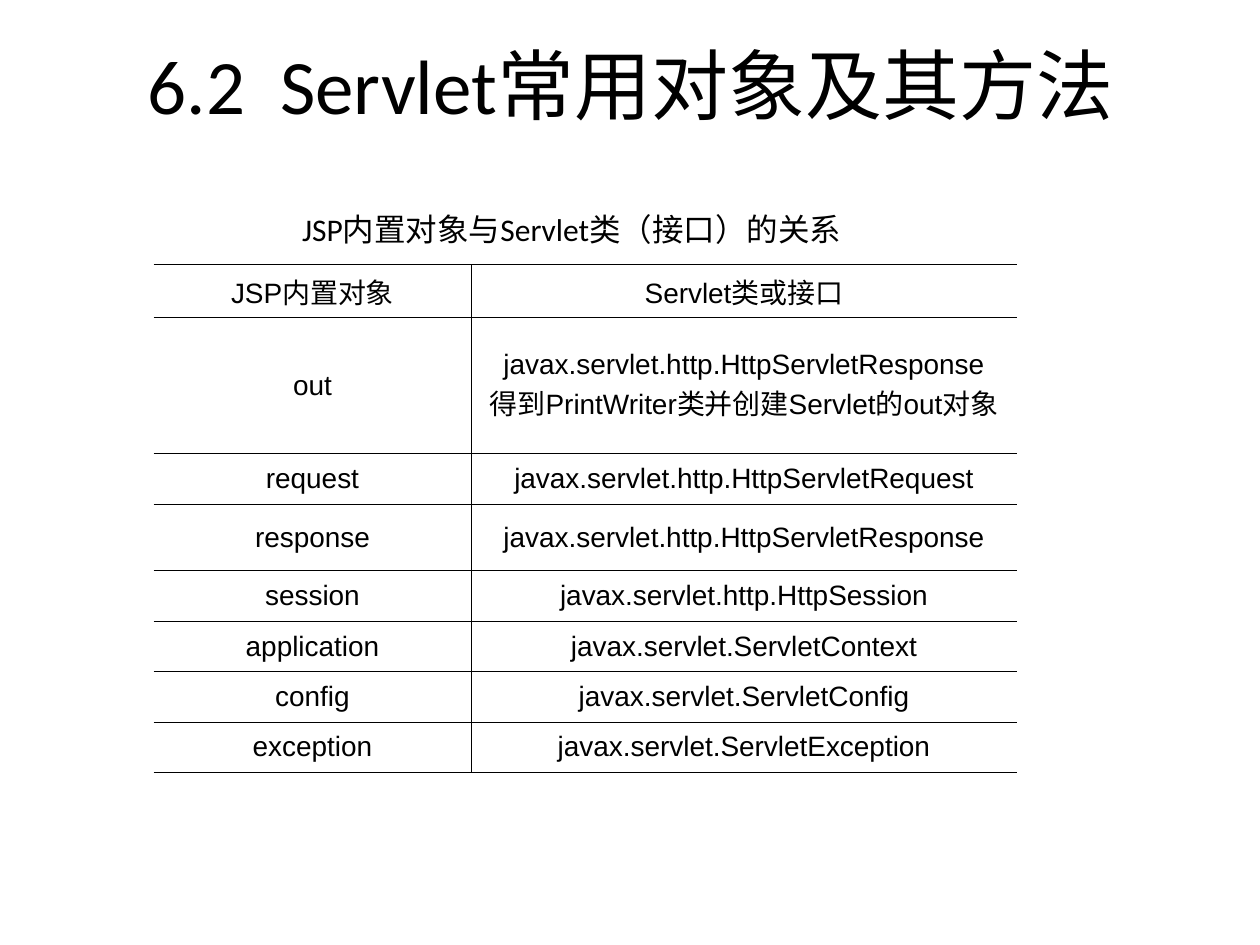
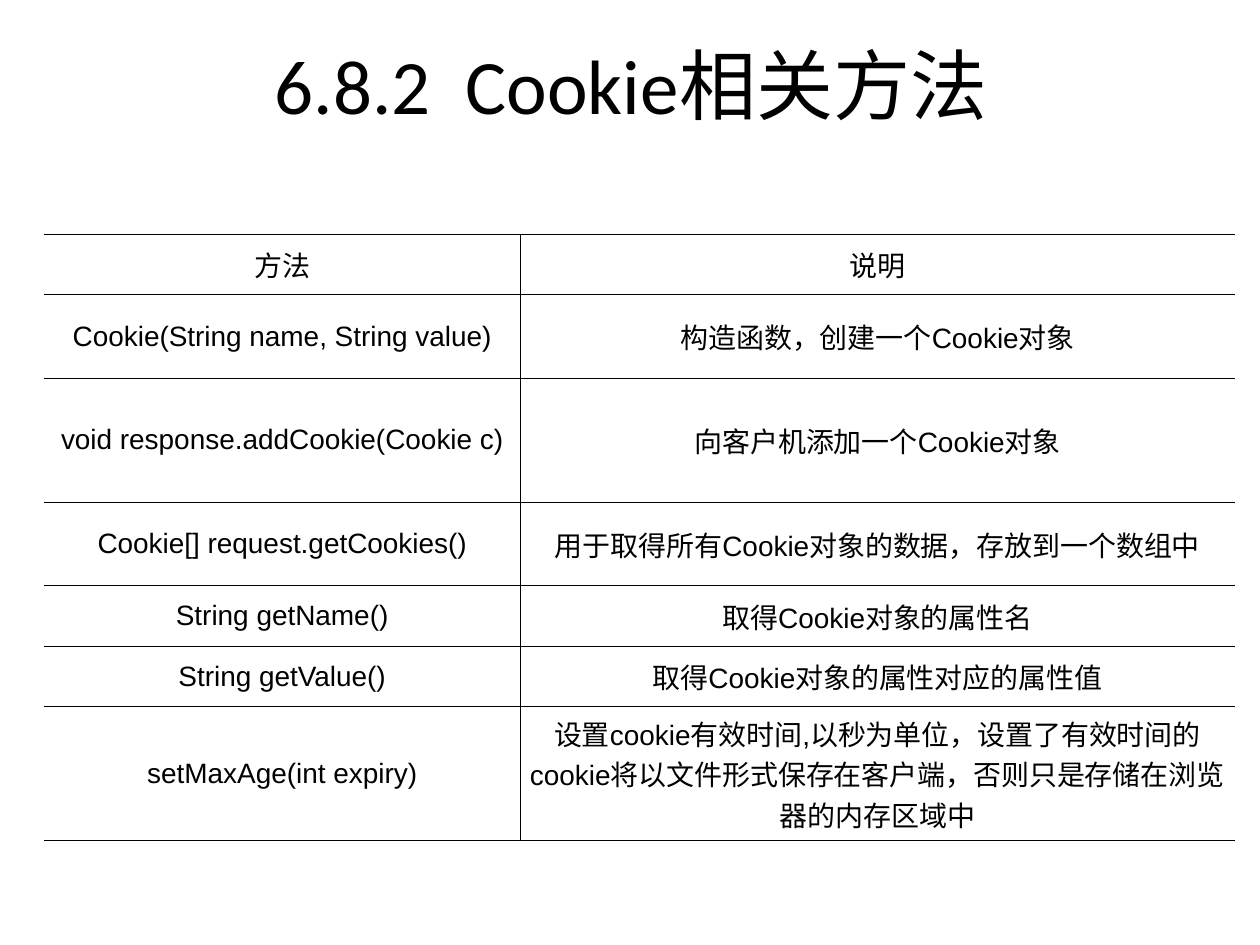
from lxml import etree
from pptx import Presentation
from pptx import util as u
from pptx.dml.color import RGBColor
from pptx.enum import text
from pptx.oxml.ns import qn

COLORS = {"ink": "000000", "paper": "FFFFFF"}
FONTS = {
    "title": {"name": "Calibri", "size": u.Pt(44), "bold": False},
    "caption": {"name": "Calibri", "size": u.Pt(18)},
    "cell": {"name": "Arial", "size": u.Pt(16), "bold": False},
}
PARAGRAPHS = {
    "title": {"alignment": text.PP_ALIGN.CENTER},
    "caption": {"alignment": text.PP_ALIGN.LEFT},
    "cell": {"alignment": text.PP_ALIGN.CENTER, "space_after": u.Pt(1)},
}
GRID_COLUMNS, GRID_ROWS = 100, 75
RULE_WIDTH = u.Pt(0.45)

OBJECT_ROWS = [
    (4, "JSP内置对象", "Servlet类或接口"),
    (10.8, "out", "javax.servlet.http.HttpServletResponse\n得到PrintWriter类并创建Servlet的out对象"),
    (4, "request", "javax.servlet.http.HttpServletRequest"),
    (5.3, "response", "javax.servlet.http.HttpServletResponse"),
    (4, "session", "javax.servlet.http.HttpSession"),
    (4, "application", "javax.servlet.ServletContext"),
    (4, "config", "javax.servlet.ServletConfig"),
    (4, "exception", "javax.servlet.ServletException"),
]
COOKIE_ROWS = [
    (4.8, "方法", "说明"),
    (6.6, "Cookie(String name, String value)", "构造函数，创建一个Cookie对象"),
    (9.9, "void response.addCookie(Cookie c)", "向客户机添加一个Cookie对象"),
    (6.6, "Cookie[] request.getCookies()", "用于取得所有Cookie对象的数据，存放到一个数组中"),
    (4.8, "String getName()", "取得Cookie对象的属性名"),
    (4.8, "String getValue()", "取得Cookie对象的属性对应的属性值"),
    (9.9, "setMaxAge(int expiry)",
     "设置cookie有效时间,以秒为单位，设置了有效时间的cookie将以文件形式保存在客户端，否则只是存储在浏览器的内存区域中"),
]


def assign(target, values):
    """Set each named attribute of the target."""
    for name, value in values.items():
        setattr(target, name, value)


class Deck:
    """Hold the presentation style and the current slide."""

    def __init__(self):
        """Start an empty presentation of 10 by 7.5 inches."""
        self.presentation = Presentation()
        assign(self.presentation, {"slide_width": u.Inches(10), "slide_height": u.Inches(7.5)})
        self.slide = None

    def across(self, columns):
        """Turn grid columns into a length."""
        return u.Emu(round(self.presentation.slide_width * columns / GRID_COLUMNS))

    def down(self, rows):
        """Turn grid rows into a length."""
        return u.Emu(round(self.presentation.slide_height * rows / GRID_ROWS))

    def box(self, left, top, width, height):
        """Turn a grid box into named lengths."""
        return {"left": self.across(left), "top": self.down(top),
                "width": self.across(width), "height": self.down(height)}

    def fill_text(self, text_frame, words, style):
        """Fill a text frame and format its paragraphs."""
        text_frame.text = words
        for paragraph in text_frame.paragraphs:
            assign(paragraph, PARAGRAPHS[style])
            for run in paragraph.runs:
                assign(run.font, FONTS[style])
                run.font.color.rgb = RGBColor.from_string(COLORS["ink"])

    def add_slide(self, title):
        """Add a slide with a centred title."""
        self.slide = self.presentation.slides.add_slide(self.presentation.slide_layouts[5])
        background = self.slide.background.fill
        background.solid()
        background.fore_color.rgb = RGBColor.from_string(COLORS["paper"])
        shape = self.slide.shapes.title
        assign(shape, self.box(5.1, 0.4, 90, 12.5))
        shape.text_frame.vertical_anchor = text.MSO_ANCHOR.MIDDLE
        self.fill_text(shape.text_frame, title, "title")

    def add_caption(self, words, left, top, width, height):
        """Add a line of text above a table."""
        shape = self.slide.shapes.add_textbox(**self.box(left, top, width, height))
        shape.text_frame.word_wrap = True
        self.fill_text(shape.text_frame, words, "caption")

    def rule_cell(self, cell, sides):
        """Draw a thin rule on the given sides and clear the others."""
        properties = cell._tc.get_or_add_tcPr()
        for side in "LRTB":
            line = etree.SubElement(properties, qn(f"a:ln{side}"), w=str(int(RULE_WIDTH)))
            if side in sides:
                fill = etree.SubElement(line, qn("a:solidFill"))
                etree.SubElement(fill, qn("a:srgbClr"), val=COLORS["ink"])
            else:
                etree.SubElement(line, qn("a:noFill"))

    def add_table(self, left, top, column_widths, rows):
        """Add a ruled table that is open at its left and right edges."""
        height = sum(row[0] for row in rows)
        table = self.slide.shapes.add_table(
            len(rows), len(column_widths), **self.box(left, top, sum(column_widths), height)).table
        assign(table, {"first_row": False, "horz_banding": False})
        for column, width in zip(table.columns, column_widths):
            column.width = self.across(width)
        cell_format = {"vertical_anchor": text.MSO_ANCHOR.MIDDLE,
                       "margin_left": self.across(0.7), "margin_right": self.across(0.7),
                       "margin_top": self.down(0.5), "margin_bottom": self.down(0.5)}
        for row, (row_height, *entries) in zip(table.rows, rows):
            row.height = self.down(row_height)
            for cell, words, sides in zip(row.cells, entries, ("RTB", "LTB")):
                assign(cell, cell_format)
                self.rule_cell(cell, sides)
                cell.fill.background()
                self.fill_text(cell.text_frame, words, "cell")


def main():
    """Build the two slides and save them."""
    deck = Deck()
    deck.add_slide("6.2  Servlet常用对象及其方法")
    deck.add_table(12.2, 21, (25.2, 43.3), OBJECT_ROWS)
    deck.add_caption("JSP内置对象与Servlet类（接口）的关系", 23, 16.2, 57.7, 4)
    deck.add_slide("6.8.2  Cookie相关方法")
    deck.add_table(3.5, 18.6, (37.8, 56.7), COOKIE_ROWS)
    deck.presentation.save("out.pptx")


if __name__ == "__main__":
    main()
